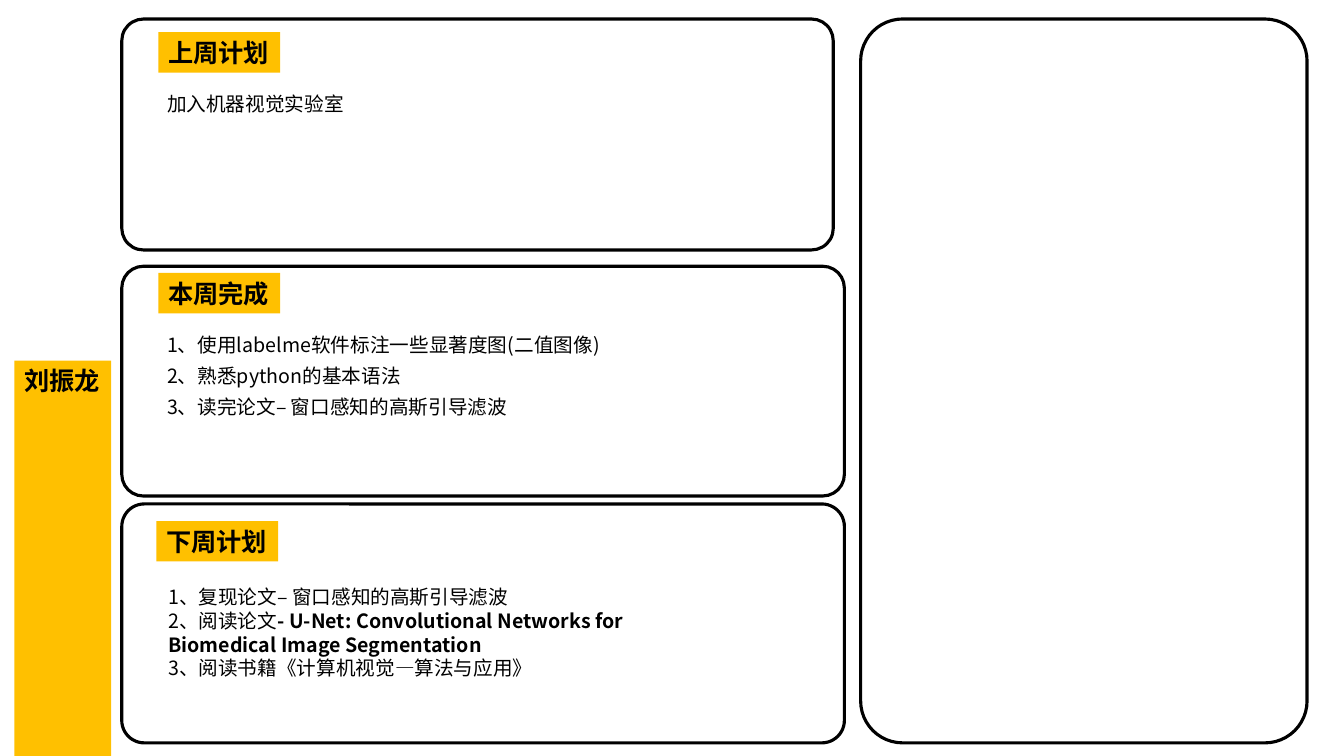
from pptx import Presentation
from pptx.dml.color import RGBColor
from pptx.enum import shapes, text
from pptx.oxml.ns import qn
from pptx.util import Cm, Pt

BLACK = RGBColor(0, 0, 0)
AMBER = RGBColor(0xFF, 0xC0, 0x00)
FONT = "Noto Sans CJK SC"
ROUND = 0.094

# Content: each line is (line spacing, [(words, bold), ...]); boxes in cm
NAME = "刘振龙", (0.36, 9.09, 2.44, 1.02)
WEEKS = [
    dict(tag="上周计划", panel=(3.07, 0.48, 17.93, 5.82),
         head=(3.99, 0.81), body=(3.96, 2.01, 14.76, 0.97),
         lines=[(1.3, [("加入机器视觉实验室", False)])]),
    dict(tag="本周完成", panel=(3.07, 6.71, 18.21, 5.79),
         head=(3.99, 6.88), body=(3.96, 8.1, 17.7, 2.54),
         lines=[(1.3, [("1、使用labelme软件标注一些显著度图(二值图像)".replace("(", "(").replace(")", ")"), False)]),
                (1.3, [("2、熟悉python的基本语法", False)]),
                (1.3, [("3、读完论文– 窗口感知的高斯引导滤波", False)])]),
    dict(tag="下周计划", panel=(3.07, 12.7, 18.21, 6.02),
         head=(3.94, 13.13), body=(3.99, 14.45, 14.76, 2.82),
         lines=[(1.3, [("1、复现论文– 窗口感知的高斯引导滤波", False)]),
                (1.0, [("2、阅读论文", False),
                       ("- U-Net: Convolutional Networks for "
                        "Biomedical Image Segmentation", True)]),
                (1.0, [("3、阅读书籍《计算机视觉—算法与应用》", False)])]),
]
SIDE = (21.69, 0.48, 11.25, 18.24)
TAG = (3.07, 1.02)

deck = Presentation()
deck.slide_width, deck.slide_height = Cm(33.87), Cm(19.05)
slide = deck.slides.add_slide(deck.slide_layouts[5])
parts = slide.shapes


def style(run, size, bold):
    font = run.font
    font.size, font.bold, font.name = Pt(size), bold, FONT
    font.color.rgb = BLACK
    ea = font._element.makeelement(qn("a:ea"), {"typeface": FONT})
    font._element.find(qn("a:latin")).addnext(ea)


def panel(box):
    shape = parts.add_shape(shapes.MSO_SHAPE.ROUNDED_RECTANGLE, *map(Cm, box))
    shape.adjustments[0] = ROUND
    shape.shadow.inherit = False
    shape.fill.background()
    shape.line.color.rgb = BLACK
    shape.line.width = Pt(2.25)


def label(shape, words, box):
    shape.left, shape.top, shape.width, shape.height = map(Cm, box)
    shape.fill.solid()
    shape.fill.fore_color.rgb = AMBER
    frame = shape.text_frame
    frame.text = words
    frame.word_wrap = False
    frame.auto_size = text.MSO_AUTO_SIZE.SHAPE_TO_FIT_TEXT
    frame.vertical_anchor = text.MSO_ANCHOR.TOP
    para = frame.paragraphs[0]
    para.alignment = text.PP_ALIGN.LEFT
    style(para.runs[0], 18, True)


def notes(lines, box):
    frame = parts.add_textbox(*map(Cm, box)).text_frame
    frame.word_wrap = True
    frame.auto_size = text.MSO_AUTO_SIZE.SHAPE_TO_FIT_TEXT
    for i, (gap, runs) in enumerate(lines):
        para = frame.add_paragraph() if i else frame.paragraphs[0]
        para.line_spacing = gap
        for words, bold in runs:
            run = para.add_run()
            run.text = words
            style(run, 14, bold)


# Name of the person
label(parts.title, *NAME)

# Weekly panels, each with its tag and list
for week in WEEKS:
    panel(week["panel"])
    box = week["head"] + TAG
    label(parts.add_textbox(*map(Cm, box)), week["tag"], box)
    notes(week["lines"], week["body"])

# Empty panel on the right
panel(SIDE)

deck.save("out.pptx")
